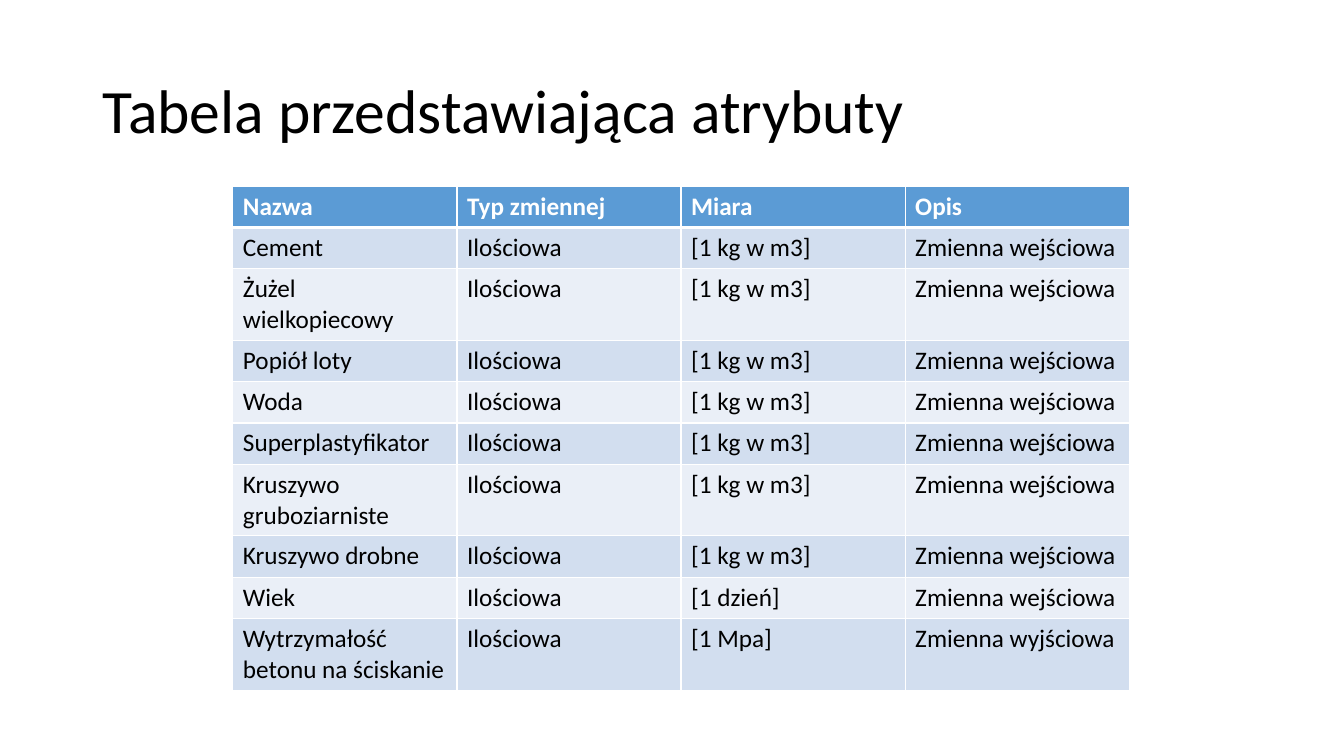
from dataclasses import dataclass
from lxml.etree import SubElement as Sub
from pptx import Presentation
from pptx.dml.color import RGBColor as Rgb
from pptx.enum.text import MSO_ANCHOR as Anchor, MSO_AUTO_SIZE as Fit, PP_ALIGN as Align
from pptx.oxml.ns import qn
from pptx.util import Inches, Pt

TITLE = "Tabela przedstawiająca atrybuty"
HEAD = ("Nazwa", "Typ zmiennej", "Miara", "Opis")
KIND = "Ilościowa"
MASS = "[1 kg w m3]"
INPUT = "Zmienna wejściowa"
ITEMS = [
    ("Cement", MASS, INPUT),
    ("Żużel wielkopiecowy", MASS, INPUT),
    ("Popiół loty", MASS, INPUT),
    ("Woda", MASS, INPUT),
    ("Superplastyfikator", MASS, INPUT),
    ("Kruszywo gruboziarniste", MASS, INPUT),
    ("Kruszywo drobne", MASS, INPUT),
    ("Wiek", "[1 dzień]", INPUT),
    ("Wytrzymałość betonu na ściskanie", "[1 Mpa]", "Zmienna wyjściowa"),
]
ROWS = [HEAD] + [(name, KIND, unit, role) for name, unit, role in ITEMS]


@dataclass(frozen=True)
class Theme:
    font: str = "Calibri"
    ink: str = "000000"
    white: str = "FFFFFF"
    head: str = "5B9BD5"
    bands: tuple = ("D2DEEF", "EAEFF7")
    title: int = 44
    body: int = 18
    thin: int = 1
    thick: int = 3


LOOK = Theme()
WIDE, HIGH = 13.33, 7.5
LEFT, TOP, SPAN = 2.31, 1.85, 8.89
HEAD_H, ROW_H = 0.37, 0.41


def write(para, text, size, color, bold=False):
    run = para.add_run()
    run.text = text
    font = run.font
    font.name, font.size, font.bold = LOOK.font, Pt(size), bold
    font.color.rgb = Rgb.from_string(color)


def edge(cell, side, width):
    line = Sub(cell._tc.get_or_add_tcPr(), qn(f"a:ln{side}"), w=str(Pt(width)))
    fill = Sub(line, qn("a:solidFill"))
    Sub(fill, qn("a:srgbClr"), val=LOOK.white)


def paint(cell, text, row):
    top = row == 0
    widths = {
        "L": LOOK.thin,
        "R": LOOK.thin,
        "T": LOOK.thick if row == 1 else LOOK.thin,
        "B": LOOK.thick if top else LOOK.thin,
    }
    for side, width in widths.items():
        edge(cell, side, width)
    cell.fill.solid()
    shade = LOOK.head if top else LOOK.bands[(row - 1) % 2]
    cell.fill.fore_color.rgb = Rgb.from_string(shade)
    color = LOOK.white if top else LOOK.ink
    write(cell.text_frame.paragraphs[0], text, LOOK.body, color, top)


deck = Presentation()
deck.slide_width, deck.slide_height = Inches(WIDE), Inches(HIGH)
slide = deck.slides.add_slide(deck.slide_layouts[5])

title = slide.shapes.title
title.left, title.top = Inches(0.92), Inches(0.4)
title.width, title.height = Inches(11.5), Inches(1.45)
frame = title.text_frame
frame.word_wrap, frame.auto_size = True, Fit.NONE
frame.vertical_anchor = Anchor.MIDDLE
para = frame.paragraphs[0]
para.alignment, para.line_spacing = Align.LEFT, 0.9
write(para, TITLE, LOOK.title, LOOK.ink)

tall = HEAD_H + ROW_H * len(ITEMS)
grid = slide.shapes.add_table(
    len(ROWS), len(HEAD), Inches(LEFT), Inches(TOP), Inches(SPAN), Inches(tall)
).table
for col in grid.columns:
    col.width = Inches(SPAN / len(HEAD))
for row, texts in enumerate(ROWS):
    grid.rows[row].height = Inches(ROW_H if row else HEAD_H)
    for col, text in enumerate(texts):
        paint(grid.cell(row, col), text, row)

deck.save("out.pptx")
